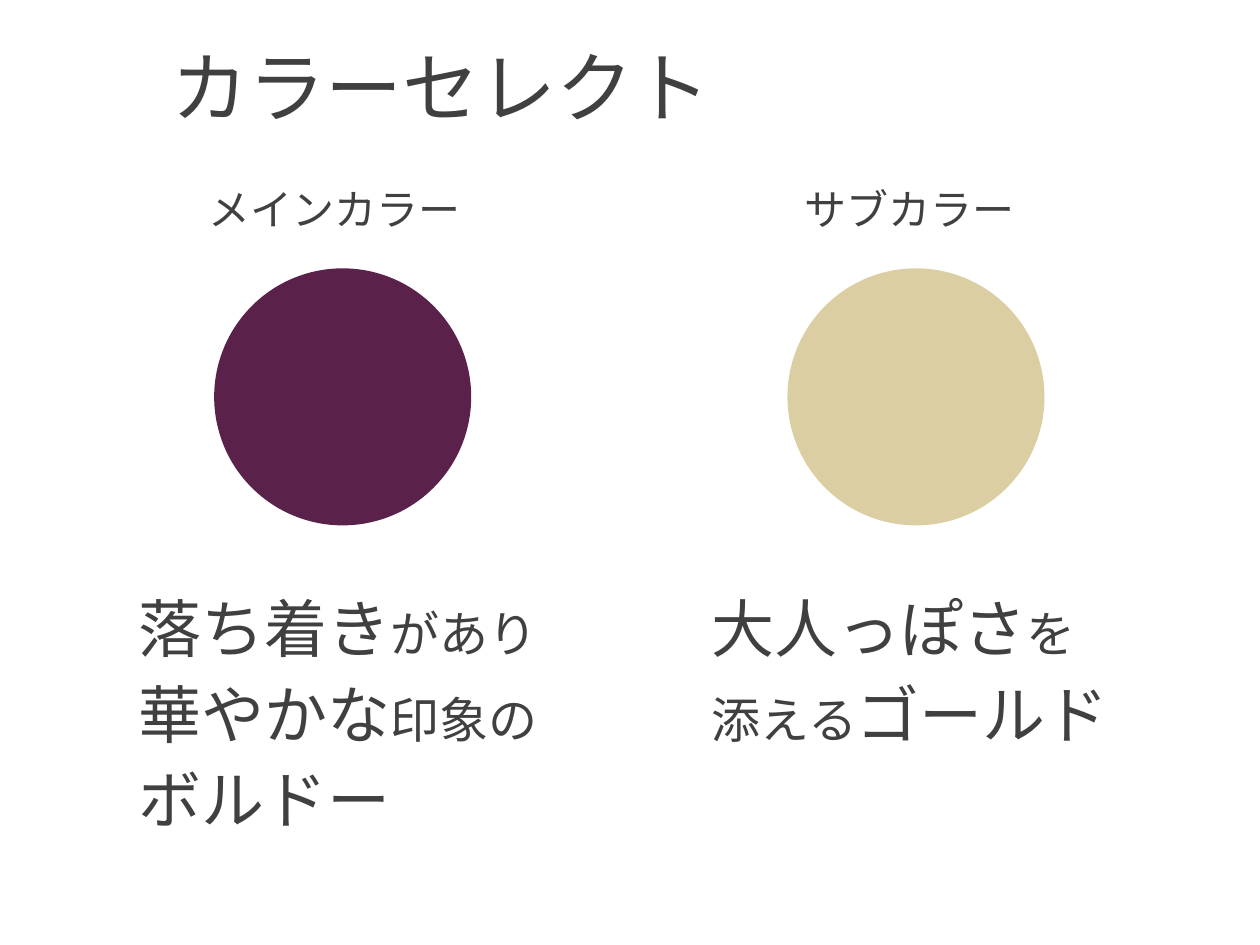
from dataclasses import dataclass

from lxml import etree
from pptx import Presentation
from pptx import util as u
from pptx.dml.color import RGBColor
from pptx.enum import shapes, text
from pptx.oxml.ns import qn

FONT = "Noto Sans CJK JP"
INK = "404040"
LARGE, SMALL = 36, 28
COLUMN_PITCH = 4.55
CIRCLE_SIZE = 2.04

Run = tuple[str, int]


@dataclass
class Swatch:
    label: str
    label_left: float
    label_width: float
    color: str
    description: list[list[Run]]


SWATCHES = [
    Swatch("メインカラー", 1.56, 2.32, "5A214A", [
        [("落ち着き", LARGE), ("があり", SMALL)],
        [("華やかな", LARGE), ("印象の", SMALL)],
        [("ボルドー", LARGE)],
    ]),
    Swatch("サブカラー", 6.29, 1.98, "DCCEA3", [
        [("大人っぽさ", LARGE), ("を", SMALL)],
        [("添える", SMALL), ("ゴールド", LARGE)],
    ]),
]


def rgb(value: str) -> RGBColor:
    return RGBColor.from_string(value)


def add_text(slide, paragraphs: list[list[Run]], *, left: float, top: float,
             width: float, height: float, space_before: float = 10,
             anchor=text.MSO_ANCHOR.TOP) -> None:
    box = slide.shapes.add_textbox(
        u.Inches(left), u.Inches(top), u.Inches(width), u.Inches(height))
    tf = box.text_frame
    tf.word_wrap = True
    tf.vertical_anchor = anchor
    for i, runs in enumerate(paragraphs):
        p = tf.add_paragraph() if i else tf.paragraphs[0]
        p.line_spacing = 0.9
        p.space_before = u.Pt(space_before)
        for content, size in runs:
            r = p.add_run()
            r.text = content
            r.font.size = u.Pt(size)
            r.font.color.rgb = rgb(INK)
            r.font.name = FONT
            ea = etree.SubElement(r.font._element, qn("a:ea"))
            ea.set("typeface", FONT)


def add_swatch(slide, swatch: Swatch, column: int) -> None:
    offset = column * COLUMN_PITCH
    add_text(slide, [[(swatch.label, 24)]], left=swatch.label_left, top=1.45,
             width=swatch.label_width, height=0.56)
    sp = slide.shapes.add_shape(
        shapes.MSO_SHAPE.OVAL, u.Inches(1.7 + offset), u.Inches(2.13),
        u.Inches(CIRCLE_SIZE), u.Inches(CIRCLE_SIZE))
    sp.shadow.inherit = False
    sp.fill.solid()
    sp.fill.fore_color.rgb = rgb(swatch.color)
    sp.line.fill.background()
    add_text(slide, swatch.description, left=1 + offset, top=4.7,
             width=3.44, height=2.01)


def main() -> None:
    prs = Presentation()
    prs.slide_width, prs.slide_height = u.Inches(10), u.Inches(7.5)
    s = prs.slides.add_slide(prs.slide_layouts[6])
    add_text(s, [[("カラーセレクト", 44)]], left=1.26, top=0, width=7.96,
             height=1.45, space_before=0, anchor=text.MSO_ANCHOR.MIDDLE)
    for column, swatch in enumerate(SWATCHES):
        add_swatch(s, swatch, column)
    prs.save("out.pptx")


if __name__ == "__main__":
    main()
